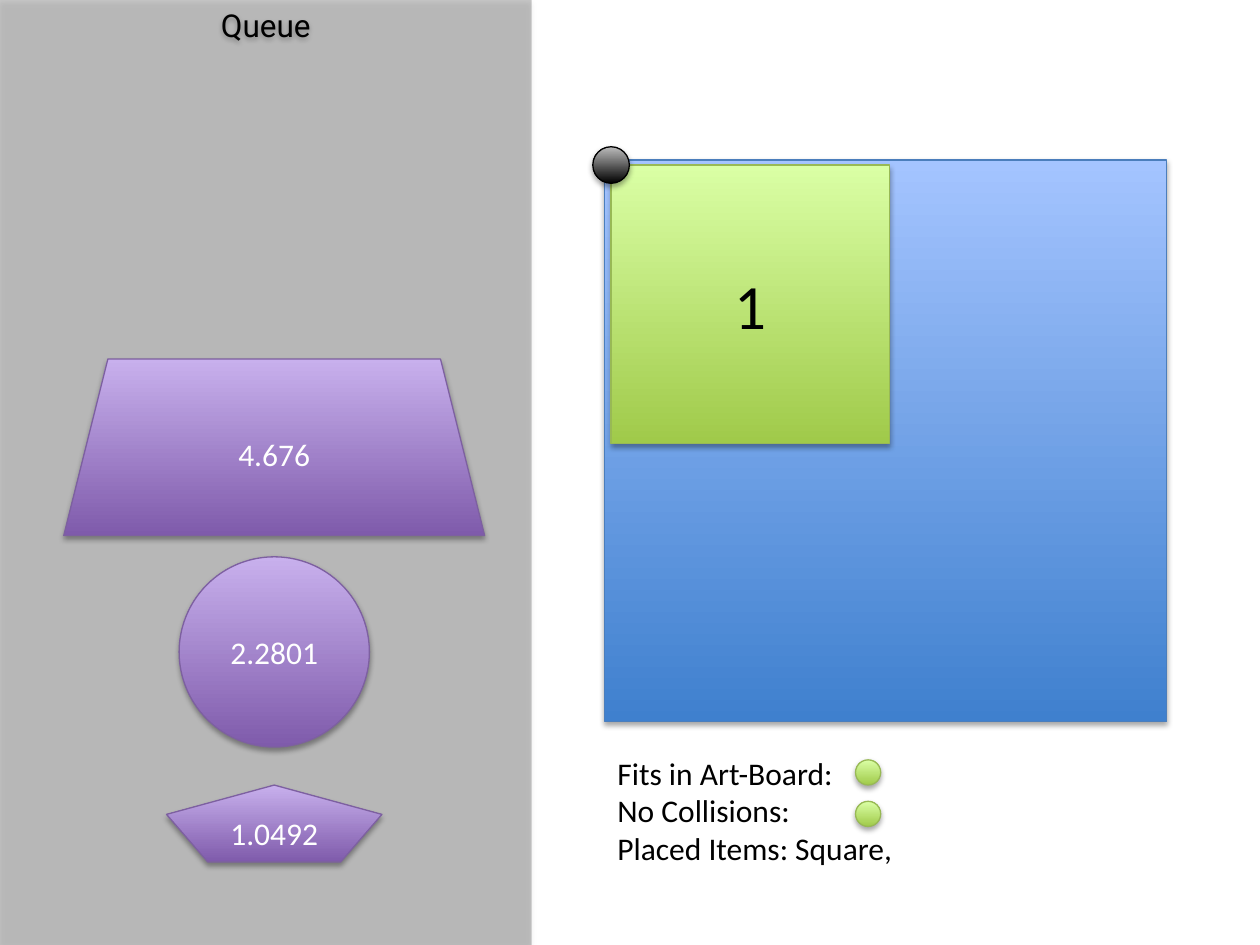
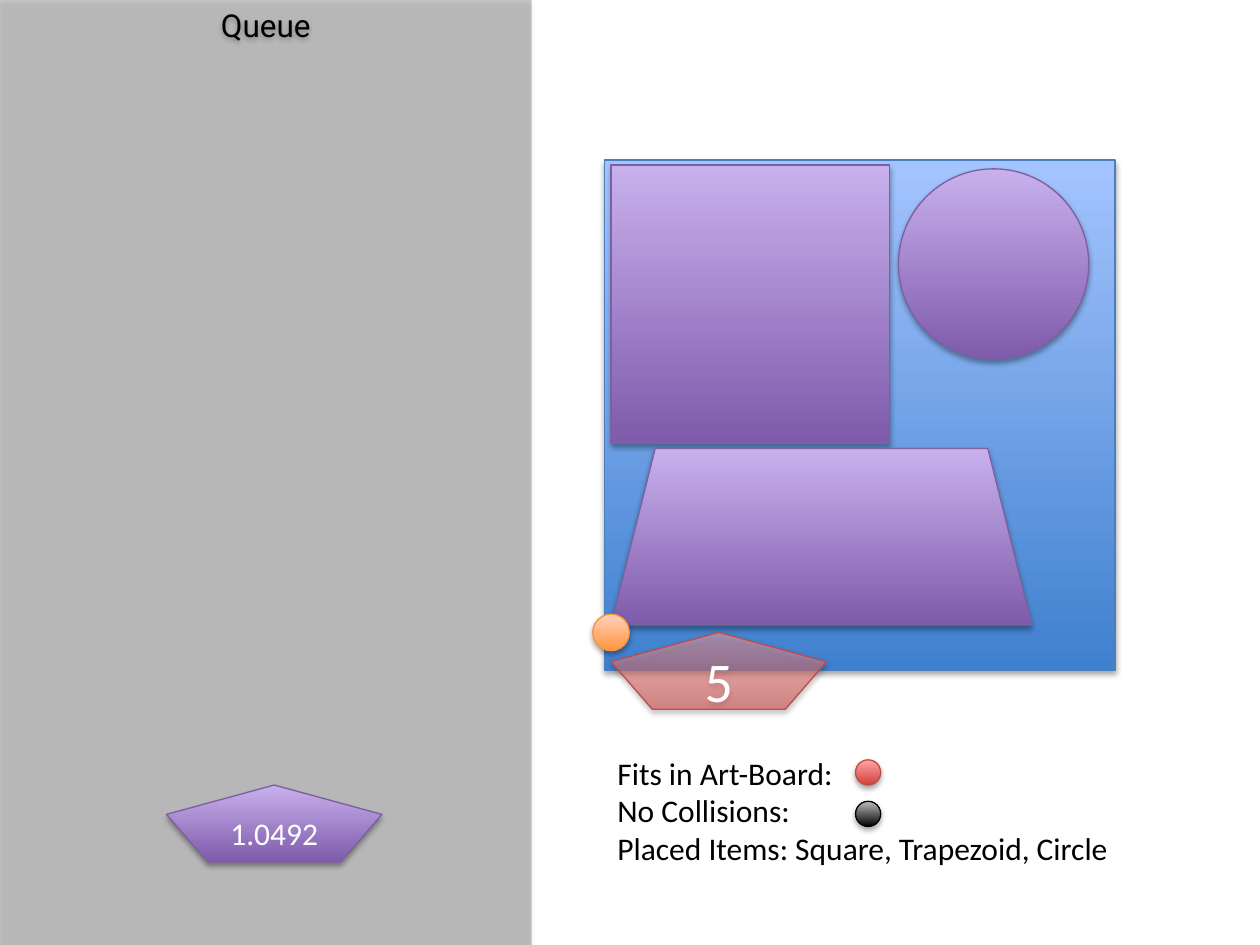
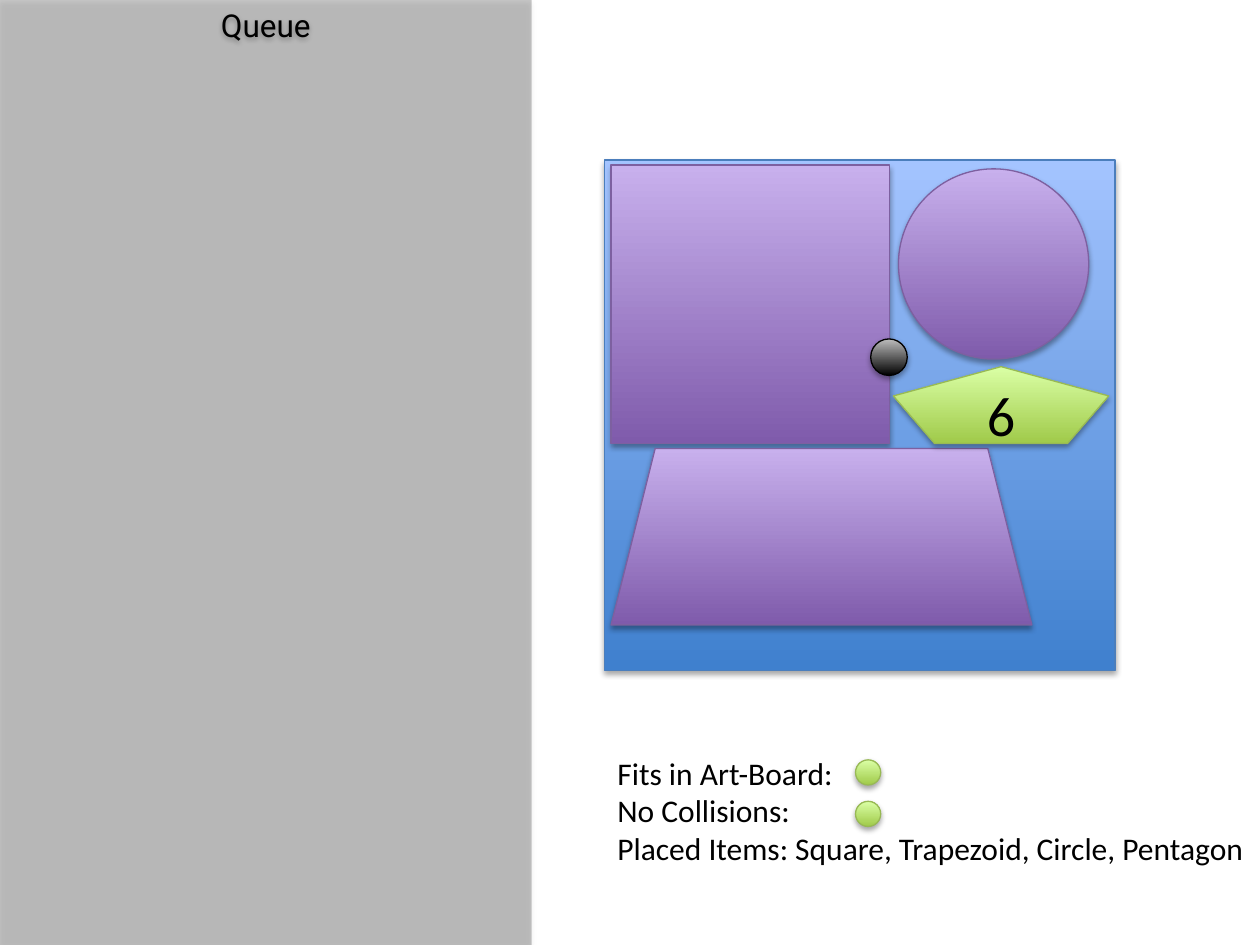
import dataclasses
import typing

import lxml.etree
import pptx
import pptx.dml.color
import pptx.enum.shapes
import pptx.enum.text
import pptx.oxml.ns
import pptx.util

Pt = pptx.util.Pt
qn = pptx.oxml.ns.qn
rgb = pptx.dml.color.RGBColor.from_string
Preset = pptx.enum.shapes.MSO_SHAPE
Align = pptx.enum.text.PP_ALIGN
Anchor = pptx.enum.text.MSO_ANCHOR
AutoSize = pptx.enum.text.MSO_AUTO_SIZE


class Paint(typing.NamedTuple):
    bottom: str
    top: str
    edge: str
    ink: str = "FFFFFF"


@dataclasses.dataclass(frozen=True)
class Theme:
    board = Paint("3F80CE", "A4C4FF", "4B7EBC")
    waiting = Paint("7F5BAB", "C8B0ED", "7D60A0")
    good = Paint("A0CA4A", "DAFFA5", "98B955", "000000")
    bad = Paint("D1403C", "FFA6A5", "BF4C48")
    neutral = Paint("000000", "BDBDBD", "000000")
    warning = Paint("FF953E", "FFD2BD", "F69240")
    black = "000000"
    queue_opacity = 22
    failed_opacity = 53
    shadow_opacity = 35
    body_font = "Calibri"
    queue_font = "Roboto"
    body_size = 18
    attempt_size = 32
    first_attempt_size = 36
    edge_width = 0.75


class Piece(typing.NamedTuple):
    preset: Preset
    width: float
    height: float


SQUARE = Piece(Preset.RECTANGLE, 159.1, 159.1)
TRAPEZOID = Piece(Preset.TRAPEZOID, 240.5, 100.8)
CIRCLE = Piece(Preset.OVAL, 108.7, 108.7)
PENTAGON = Piece(Preset.REGULAR_PENTAGON, 123.1, 43.9)

BOARD_LEFT, BOARD_TOP = 345.6, 91.4
QUEUE_WIDTH, QUEUE_CENTRE = 303.8, 156.7
SLIDE_WIDTH, SLIDE_HEIGHT = 720, 540
FIRST_CORNER = (349.2, 94.3)
PLACED = [(SQUARE, *FIRST_CORNER), (TRAPEZOID, 349.2, 256.3), (CIRCLE, 513.4, 96.5)]
QUEUED = [(TRAPEZOID, 205.2, "4.676"), (CIRCLE, 318.2, "2.2801"), (PENTAGON, 448.6, "1.0492")]
MARKER_SIZE = 20.9
LIGHT_SIZE, LIGHT_LEFT, LIGHT_TOP, LIGHT_STEP = 14.4, 488.9, 434.2, 23.7


def move(shape, left, top, width, height):
    shape.left, shape.top = Pt(left), Pt(top)
    shape.width, shape.height = Pt(width), Pt(height)


def set_alpha(parent, percent):
    for colour in parent.iter(qn("a:srgbClr")):
        lxml.etree.SubElement(colour, qn("a:alpha"), val=str(percent * 1000))


def write(shape, text, *, font, size, color, align=Align.CENTER, anchor=Anchor.MIDDLE,
          fit=AutoSize.NONE):
    """Fill a shape with text, one paragraph a line."""
    frame = shape.text_frame
    frame.text = text
    frame.word_wrap = True
    frame.auto_size = fit
    frame.vertical_anchor = anchor
    for paragraph in frame.paragraphs:
        paragraph.alignment = align
        paragraph.space_before = Pt(0)
        for run in paragraph.runs:
            run.font.name = font
            run.font.size = Pt(size)
            run.font.color.rgb = rgb(color)


class Packing:
    def __init__(self, theme):
        self.theme = theme
        self.deck = pptx.Presentation()
        self.deck.slide_width, self.deck.slide_height = Pt(SLIDE_WIDTH), Pt(SLIDE_HEIGHT)
        self.slide = None

    def start_slide(self):
        self.slide = self.deck.slides.add_slide(self.deck.slide_layouts[1])
        queue = self.slide.shapes.title
        move(queue, 0, 0, QUEUE_WIDTH, SLIDE_HEIGHT)
        queue.fill.solid()
        queue.fill.fore_color.rgb = rgb(self.theme.black)
        set_alpha(queue._element.spPr, self.theme.queue_opacity)
        queue.line.fill.background()
        self.shade(queue)
        write(queue, "Queue", font=self.theme.queue_font, size=self.theme.body_size,
              color=self.theme.black, anchor=Anchor.TOP)

    def shade(self, shape):
        """Drop a soft shadow straight down."""
        properties = shape._element.spPr
        effects = properties.find(qn("a:effectLst"))
        if effects is None:
            effects = lxml.etree.SubElement(properties, qn("a:effectLst"))
        shadow = lxml.etree.SubElement(
            effects, qn("a:outerShdw"), blurRad=str(Pt(3.1)), dist=str(Pt(1.8)),
            dir="5400000", rotWithShape="0")
        lxml.etree.SubElement(shadow, qn("a:srgbClr"), val=self.theme.black)
        set_alpha(shadow, self.theme.shadow_opacity)

    def block(self, piece, left, top, paint, label="", size=None, opacity=None):
        shape = self.slide.shapes.add_shape(
            piece.preset, Pt(left), Pt(top), Pt(piece.width), Pt(piece.height))
        shape.fill.gradient()
        shape.fill.gradient_angle = 90
        for stop, color in zip(shape.fill.gradient_stops, (paint.bottom, paint.top)):
            stop.color.rgb = rgb(color)
        if opacity:
            set_alpha(shape._element.spPr, opacity)
        shape.line.color.rgb = rgb(paint.edge)
        shape.line.width = Pt(self.theme.edge_width)
        shape.shadow.inherit = False
        self.shade(shape)
        if label:
            write(shape, label, font=self.theme.body_font,
                  size=size or self.theme.body_size, color=paint.ink)

    def board(self, side):
        self.block(Piece(Preset.RECTANGLE, side, side), BOARD_LEFT, BOARD_TOP, self.theme.board)

    def placed(self):
        for piece, left, top in PLACED:
            self.block(piece, left, top, self.theme.waiting)

    def queued(self, entries):
        for piece, top, score in entries:
            self.block(piece, QUEUE_CENTRE - piece.width / 2, top, self.theme.waiting, score)

    def marker(self, x, y, paint):
        """Dot centred on the corner being tried."""
        self.block(Piece(Preset.OVAL, MARKER_SIZE, MARKER_SIZE),
                   x - MARKER_SIZE / 2, y - MARKER_SIZE / 2, paint)

    def status(self, items, lights, width=374.4):
        checks = self.slide.placeholders[1]
        move(checks, BOARD_LEFT, 427, width, 72.7)
        write(checks, f"Fits in Art-Board:\nNo Collisions:\nPlaced Items: {items}",
              font=self.theme.body_font, size=self.theme.body_size, color=self.theme.black,
              align=Align.LEFT, anchor=Anchor.TOP, fit=AutoSize.SHAPE_TO_FIT_TEXT)
        for paragraph in checks.text_frame.paragraphs:
            properties = paragraph._p.get_or_add_pPr()
            properties.set("marL", "0")
            properties.set("indent", "0")
            lxml.etree.SubElement(properties, qn("a:buNone"))
        for row, paint in enumerate(lights):
            self.block(Piece(Preset.OVAL, LIGHT_SIZE, LIGHT_SIZE),
                       LIGHT_LEFT, LIGHT_TOP + row * LIGHT_STEP, paint)


def main():
    theme = Theme()
    packing = Packing(theme)

    packing.start_slide()
    packing.board(321.1)
    packing.block(SQUARE, *FIRST_CORNER, theme.good, "1", theme.first_attempt_size)
    packing.marker(*FIRST_CORNER, theme.neutral)
    packing.queued(QUEUED)
    packing.status("Square,", [theme.good, theme.good])

    packing.start_slide()
    packing.board(291.6)
    packing.placed()
    overhang = (349.2, 361.4)
    packing.block(PENTAGON, *overhang, theme.bad, "5", theme.attempt_size, theme.failed_opacity)
    packing.marker(*overhang, theme.warning)
    packing.queued(QUEUED[-1:])
    packing.status("Square, Trapezoid, Circle", [theme.bad, theme.neutral])

    packing.start_slide()
    packing.board(291.6)
    packing.placed()
    packing.block(PENTAGON, 510.5, 209.5, theme.good, "6", theme.attempt_size)
    packing.marker(508, 204.1, theme.neutral)
    packing.status("Square, Trapezoid, Circle, Pentagon", [theme.good, theme.good], width=391.7)

    packing.deck.save("out.pptx")


if __name__ == "__main__":
    main()
